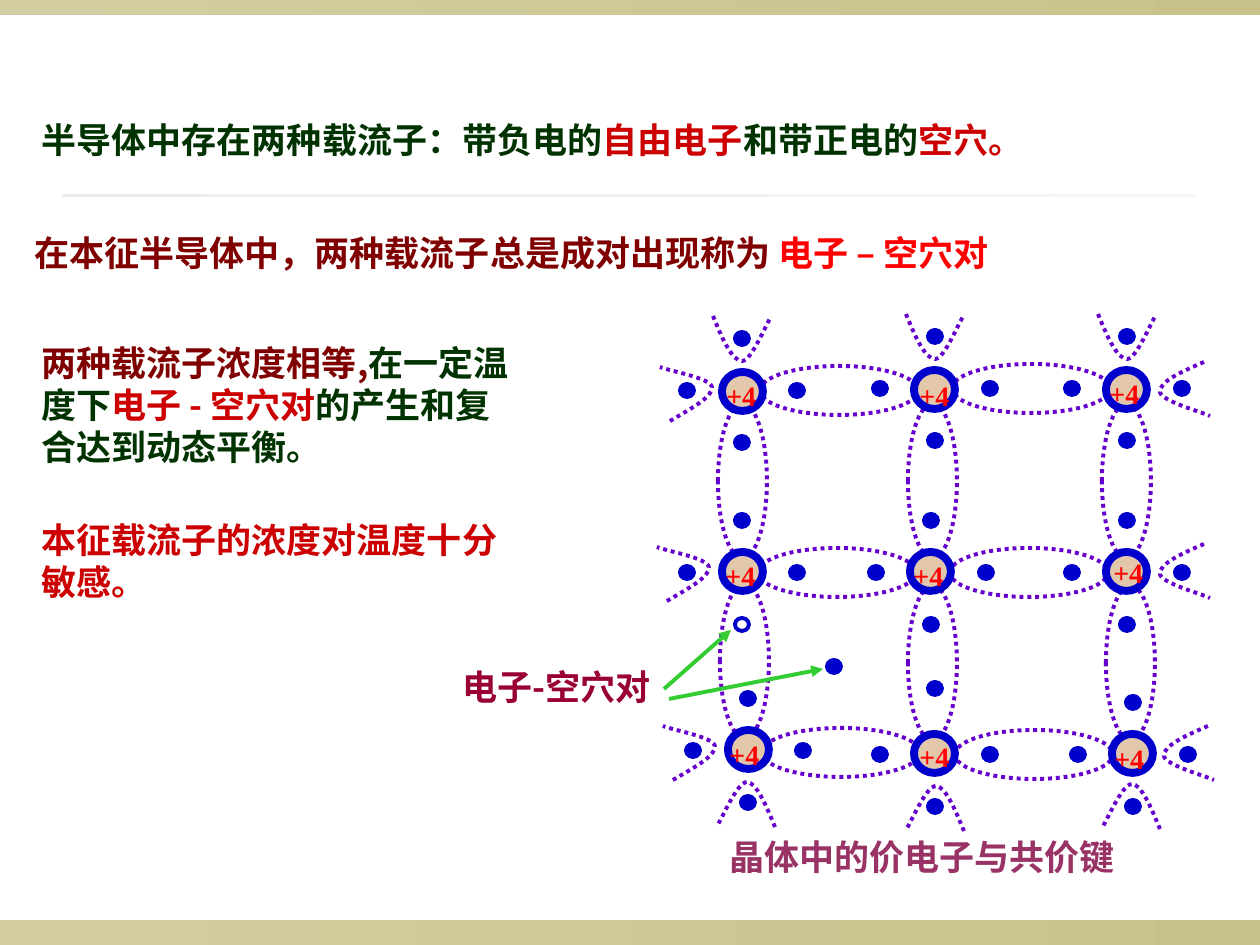
from lxml import etree
from pptx import Presentation
from pptx.dml.color import RGBColor
from pptx.enum.dml import MSO_LINE
from pptx.enum.shapes import MSO_CONNECTOR, MSO_SHAPE
from pptx.enum.text import MSO_ANCHOR, MSO_AUTO_SIZE, PP_ALIGN
from pptx.oxml.ns import qn
from pptx.util import Emu, Pt

OVAL, RECT, STRAIGHT = MSO_SHAPE.OVAL, MSO_SHAPE.RECTANGLE, MSO_CONNECTOR.STRAIGHT
DOTTED, LEFT, TOP, FIXED = MSO_LINE.ROUND_DOT, PP_ALIGN.LEFT, MSO_ANCHOR.TOP, MSO_AUTO_SIZE.NONE
SCALE = 914400 // 126
CJK, SERIF = "Noto Sans CJK SC", "Times New Roman"
GREEN, RED, MAROON, BRIGHT = "003300", "CC0000", "800000", "FF0000"
BLUE, PURPLE, PEACH, ARROW = "0000CC", "6600CC", "E3C7AB", "33CC33"

BANDS = [
    ((0, 920, 1260, 25), "D3CEA1", "C8C28A"),
    ((0, 0, 1260, 15), "D3CEA1", "C8C28A"),
    ((62, 194, 1135, 3), "EEECE6", "F8F7F5"),
]
TITLE = ((29, 112, 1033, 55), [
    ("半导体中存在两种载流子：带负电的", GREEN), ("自由电子", RED),
    ("和带正电的", GREEN), ("空穴。", RED)])
TEXTS = [
    ((22, 225, 1061, 55), [("在本征半导体中，两种载流子总是成对出现称为", MAROON),
                           (" 电子 – 空穴对", BRIGHT)]),
    ((29, 335, 496, 139), [("两种载流子浓度相等,", MAROON), ("在一定温度下", GREEN),
                           ("电子 - 空穴对", RED), ("的产生和复合达到动态平衡。", GREEN)]),
    ((29, 512, 493, 97), [("本征载流子的浓度对温度十分敏感。", RED)]),
    ((450, 659, 260, 55), [("电子-空穴对", "990033")]),
    ((717, 829, 499, 55), [("晶体中的价电子与共价键", "993366")]),
]
ARROWS = [((664, 689), (731, 630)), ((669, 699), (823, 669))]

ATOMS = [
    [(742, 391), (935, 389), (1127, 389)],
    [(742, 572), (931, 572), (1127, 572)],
    [(748, 750), (935, 754), (1133, 754)],
]
CHARGES = [
    [(714, 372), (907, 372), (1097, 370)],
    [(713, 552), (901, 552), (1101, 549)],
    [(717, 731), (907, 733), (1102, 735)],
]
ELECTRON_OFFSETS = [(-55, 0), (55, 0), (0, -52), (0, 52)]
HOLE = (742, 624)
MOVED_ELECTRONS = {(935, 702): (935, 688)}
FREE_ELECTRON = (834, 666)

OPEN_BONDS = [
    ([(742, 361), (935, 359), (1127, 359)],
     [(-29, -45), (-20, -23), (-10, 0), (0, 0), (9, 1), (24, -37), (29, -44)]),
    ([(1160, 392), (1160, 574), (1164, 756)],
     [(44, -30), (21, -20), (-1, -10), (0, 0), (1, 9), (42, 20), (50, 24)]),
    ([(747, 782), (936, 786), (1132, 784)],
     [(28, 45), (19, 23), (9, 0), (0, 0), (-10, 0), (-25, 37), (-30, 44)]),
    ([(712, 387), (709, 567), (715, 746)],
     [(-42, 34), (-20, 21), (1, 10), (0, 0), (-1, -9), (-43, -16), (-52, -20)]),
]


def color(value):
    return RGBColor.from_string(value)


def emu(lengths):
    return [Emu(length * SCALE) for length in lengths]


def style_line(line, value, width, dash=None):
    line.color.rgb = color(value)
    line.width = Pt(width)
    if dash:
        line.dash_style = dash


def write(box, spans, font=CJK, size=20):
    frame = box.text_frame
    frame.word_wrap = True
    frame.auto_size = FIXED
    frame.vertical_anchor = TOP
    para = frame.paragraphs[0]
    para.alignment = LEFT
    for text, value in spans:
        span = para.add_run()
        span.text = text
        span.font.name = font
        span.font.size = Pt(size)
        span.font.bold = True
        span.font.color.rgb = color(value)
        etree.SubElement(span.font._element, qn("a:ea"), typeface=font)


def add_text(page, place, spans, font=CJK, size=20):
    write(page.shapes.add_textbox(*emu(place)), spans, font, size)


def add_band(page, place, first, last):
    band = page.shapes.add_shape(RECT, *emu(place))
    band.shadow.inherit = False
    band.line.fill.background()
    band.fill.gradient()
    band.fill.gradient_angle = 0
    for stop, value in zip(band.fill.gradient_stops, (first, last)):
        stop.color.rgb = color(value)


def add_oval(page, center, size, fill, line, width, dash=None):
    (x, y), (w, h) = center, size
    oval = page.shapes.add_shape(OVAL, *emu((round(x - w / 2), round(y - h / 2), w, h)))
    oval.shadow.inherit = False
    if fill:
        oval.fill.solid()
        oval.fill.fore_color.rgb = color(fill)
    else:
        oval.fill.background()
    style_line(oval.line, line, width, dash)


def add_electron(page, center, fill=BLUE):
    add_oval(page, center, (14, 13), fill, BLUE, 2.25)


def add_bond(page, start, end, size):
    center = [(a + b) / 2 for a, b in zip(start, end)]
    add_oval(page, center, size, None, PURPLE, 2.25, DOTTED)


def add_open_bond(page, tip, offsets):
    points = [(tip[0] + dx, tip[1] + dy) for dx, dy in offsets]
    builder = page.shapes.build_freeform(*points[0], scale=SCALE)
    builder.add_line_segments(points[1:], close=False)
    curve = builder.convert_to_shape()
    outline = next(curve._element.iter(qn("a:path")))
    segments = outline.findall(qn("a:lnTo"))
    for first in range(0, len(segments), 3):
        bend = etree.SubElement(outline, qn("a:cubicBezTo"))
        for segment in segments[first:first + 3]:
            bend.append(segment[0])
            outline.remove(segment)
    curve.shadow.inherit = False
    curve.fill.background()
    style_line(curve.line, PURPLE, 2.25, DOTTED)


def add_arrow(page, start, end):
    arrow = page.shapes.add_connector(STRAIGHT, *emu(start + end))
    style_line(arrow.line, ARROW, 2.25)
    etree.SubElement(arrow.line._get_or_add_ln(), qn("a:tailEnd"), type="triangle")
    etree.SubElement(arrow._element.spPr, qn("a:effectLst"))


def add_crystal(page):
    for row in ATOMS:
        for start, end in zip(row, row[1:]):
            add_bond(page, start, end, (158, 49))
    for upper, lower in zip(ATOMS, ATOMS[1:]):
        for start, end in zip(upper, lower):
            add_bond(page, start, end, (49, 154))
    for tips, offsets in OPEN_BONDS:
        for tip in tips:
            add_open_bond(page, tip, offsets)
    for atoms, charges in zip(ATOMS, CHARGES):
        for (x, y), charge in zip(atoms, charges):
            add_oval(page, (x, y), (41, 39), PEACH, BLUE, 4.5)
            for dx, dy in ELECTRON_OFFSETS:
                center = (x + dx, y + dy)
                add_electron(page, MOVED_ELECTRONS.get(center, center),
                             None if center == HOLE else BLUE)
            add_text(page, (*charge, 68, 47), [("+4", BRIGHT)], SERIF, 16)
    add_electron(page, FREE_ELECTRON)


def main():
    """Build the slide on carriers and covalent bonds in an intrinsic semiconductor."""
    deck = Presentation()
    deck.slide_width, deck.slide_height = emu((1260, 945))
    page = deck.slides.add_slide(deck.slide_layouts[5])
    for band in BANDS:
        add_band(page, *band)
    place, spans = TITLE
    title = page.shapes.title
    title.left, title.top, title.width, title.height = emu(place)
    write(title, spans)
    add_crystal(page)
    for start, end in ARROWS:
        add_arrow(page, start, end)
    for place, spans in TEXTS:
        add_text(page, place, spans)
    deck.save("out.pptx")


if __name__ == "__main__":
    main()
